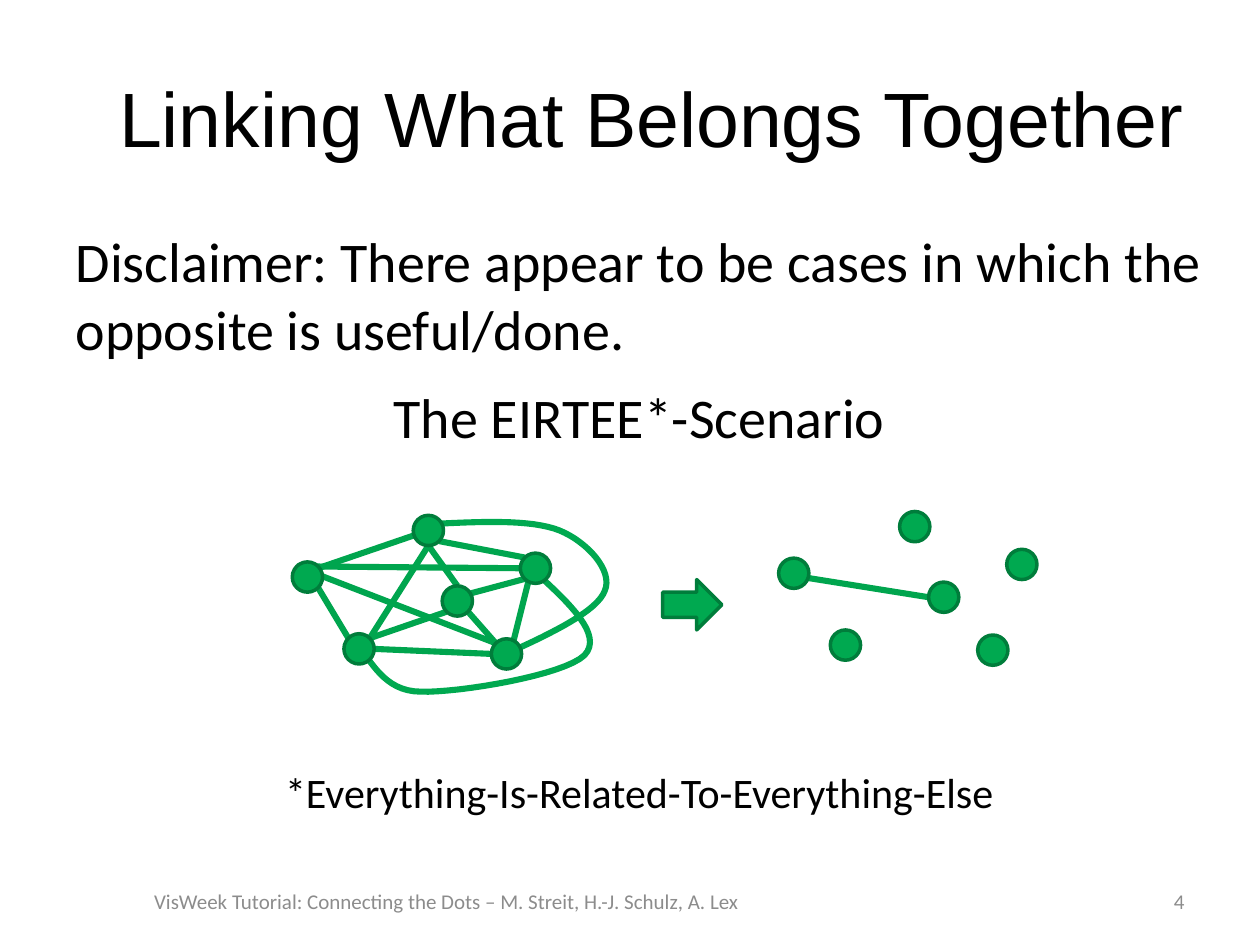
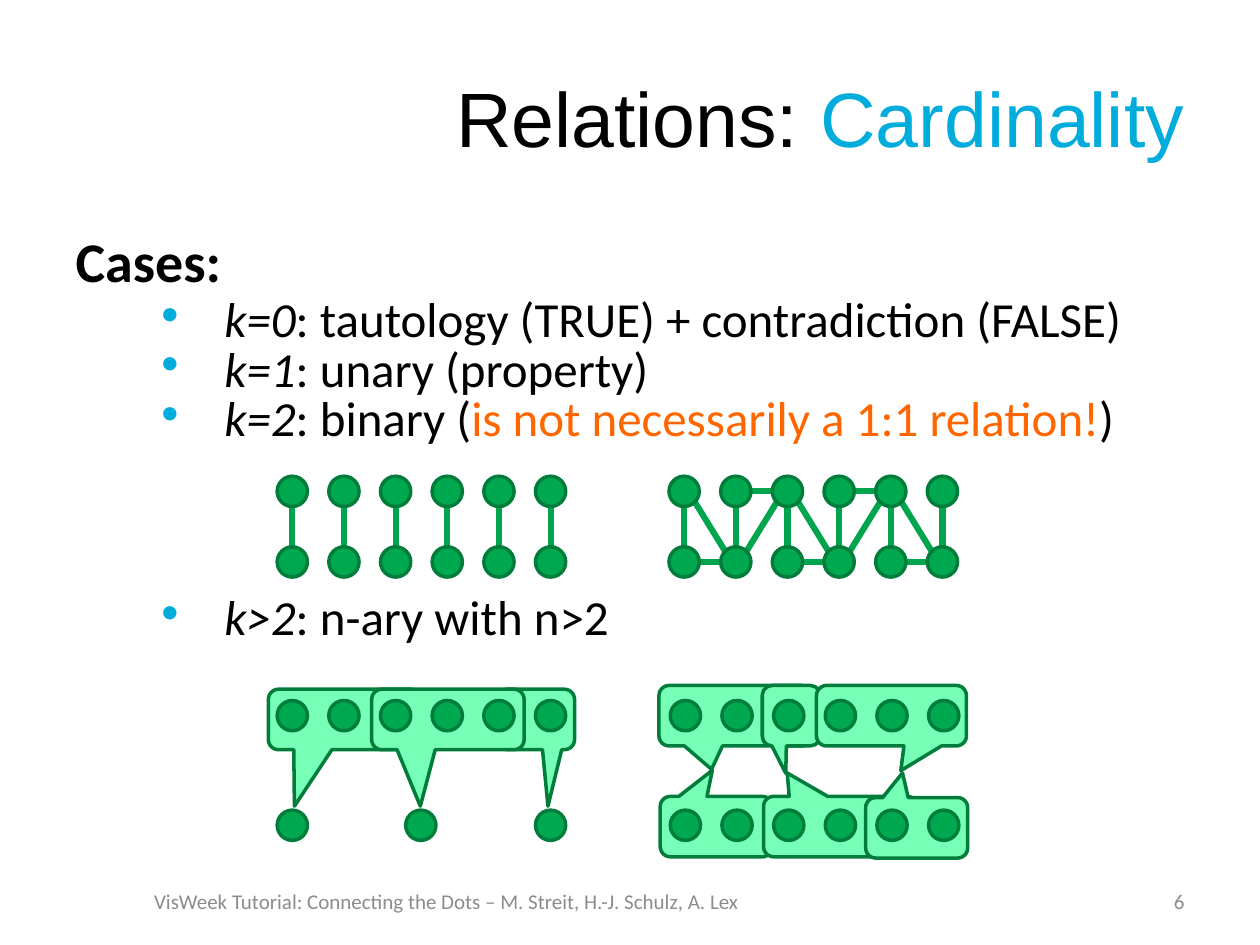
from math import cos, radians, sin

from lxml.etree import SubElement
from pptx import Presentation
from pptx.dml.color import RGBColor
from pptx.enum.shapes import MSO_CONNECTOR, MSO_SHAPE
from pptx.enum.text import MSO_ANCHOR, MSO_AUTO_SIZE, PP_ALIGN
from pptx.oxml.ns import qn
from pptx.util import Inches, Pt

BLACK, GRAY, CYAN, ORANGE = "000000", "8C8C8C", "00ACDC", "FF6600"
EDGE, NODE, RIM, BUBBLE = "00A54E", "00A950", "007D3B", "77FFB7"
CREDIT = "VisWeek Tutorial: Connecting the Dots – M. Streit, H.-J. Schulz, A. Lex"
DIAMETER = 0.24
PITCH = 0.41
COLUMNS = 6


def rgb(color):
    return RGBColor.from_string(color)


def add_run(paragraph, text, size=32, color=BLACK, font="Calibri", bold=False, italic=False):
    run = paragraph.add_run()
    run.text = text
    run.font.size = Pt(size)
    run.font.name = font
    run.font.bold = bold
    run.font.italic = italic
    run.font.color.rgb = rgb(color)


def place(shape, left, top, width, height):
    shape.left, shape.top = Inches(left), Inches(top)
    shape.width, shape.height = Inches(width), Inches(height)


def format_paragraph(paragraph, align=PP_ALIGN.LEFT, before=0, after=6, spacing=1, bullet=False):
    properties = paragraph._p.get_or_add_pPr()
    if bullet:
        paragraph.level = 3
        properties.set("marL", str(Inches(1.18)))
        properties.set("indent", str(Inches(-0.5)))
        SubElement(SubElement(properties, qn("a:buClr")), qn("a:srgbClr"), val=CYAN)
        SubElement(properties, qn("a:buFont"), typeface="Arial")
        SubElement(properties, qn("a:buChar"), char="•")
    else:
        properties.set("marL", "0")
        properties.set("indent", "0")
        SubElement(properties, qn("a:buNone"))
    paragraph.alignment = align
    paragraph.line_spacing = spacing
    paragraph.space_before, paragraph.space_after = Pt(before), Pt(after)


def add_footer_text(slide, text, left, width, align):
    box = slide.shapes.add_textbox(Inches(left), Inches(6.95), Inches(width), Inches(0.4))
    frame = box.text_frame
    frame.word_wrap = True
    frame.vertical_anchor = MSO_ANCHOR.MIDDLE
    frame.paragraphs[0].alignment = align
    add_run(frame.paragraphs[0], text, size=12, color=GRAY)


def add_content_slide(deck, number, title_parts):
    slide = deck.slides.add_slide(deck.slide_layouts[1])
    title = slide.shapes.title
    place(title, 0.5, 0.3, 9, 1.25)
    title.text_frame.vertical_anchor = MSO_ANCHOR.MIDDLE
    heading = title.text_frame.paragraphs[0]
    heading.alignment = PP_ALIGN.RIGHT
    for text, color in title_parts:
        add_run(heading, text, size=44, font="Arial", color=color)
    add_footer_text(slide, CREDIT, 0.51, 6.07, PP_ALIGN.CENTER)
    add_footer_text(slide, str(number), 7.17, 2.33, PP_ALIGN.RIGHT)
    return slide


def fill_body(slide, box, paragraphs):
    body = slide.placeholders[1]
    place(body, *box)
    frame = body.text_frame
    frame.auto_size = MSO_AUTO_SIZE.NONE
    frame.margin_top = Inches(0.05)
    for index, (layout, runs) in enumerate(paragraphs):
        paragraph = frame.add_paragraph() if index else frame.paragraphs[0]
        format_paragraph(paragraph, **layout)
        for text, style in runs:
            add_run(paragraph, text, **style)


def add_solid(shapes, preset, left, top, width, height, fill=NODE):
    solid = shapes.add_shape(preset, Inches(left), Inches(top), Inches(width), Inches(height))
    solid.shadow.inherit = False
    solid.fill.solid()
    solid.fill.fore_color.rgb = rgb(fill)
    solid.line.color.rgb = rgb(RIM)
    solid.line.width = Pt(2)
    return solid


def add_node(shapes, center):
    x, y = center
    radius = DIAMETER / 2
    add_solid(shapes, MSO_SHAPE.OVAL, x - radius, y - radius, DIAMETER, DIAMETER)


def rim_point(center, site):
    if site is None:
        return center
    angle = radians(90 + 45 * site)
    return center[0] + DIAMETER / 2 * cos(angle), center[1] - DIAMETER / 2 * sin(angle)


def add_edge(shapes, start, start_site, end, end_site):
    ends = [Inches(v) for v in rim_point(start, start_site) + rim_point(end, end_site)]
    edge = shapes.add_connector(MSO_CONNECTOR.STRAIGHT, *ends)
    edge.line.color.rgb = rgb(EDGE)
    edge.line.width = Pt(3.5)
    SubElement(edge._element.spPr, qn("a:effectLst"))


def bezier_points(controls, steps=16):
    for first in range(0, len(controls) - 1, 3):
        segment = controls[first:first + 4]
        for step in range(1, steps + 1):
            t = step / steps
            weights = (1 - t) ** 3, 3 * t * (1 - t) ** 2, 3 * t * t * (1 - t), t ** 3
            yield tuple(sum(w * p[axis] for w, p in zip(weights, segment)) for axis in (0, 1))


def add_curve(shapes, left, top, controls):
    controls = [(Inches(left + x), Inches(top + y)) for x, y in controls]
    builder = shapes.build_freeform(*controls[0])
    builder.add_line_segments(list(bezier_points(controls)), close=False)
    curve = builder.convert_to_shape()
    curve.shadow.inherit = False
    curve.fill.background()
    curve.line.color.rgb = rgb(NODE)
    curve.line.width = Pt(3.5)


NETWORK = {
    "top": (1.08, 0.12), "left": (0.12, 0.49), "middle": (1.31, 0.68),
    "base": (1.7, 1.1), "low": (0.53, 1.06), "right": (1.93, 0.42),
}
ALL_RELATED = [
    ("left", 2, "top", None), ("left", 5, "low", 1), ("left", 1, "base", 1),
    ("left", 1, "right", 2), ("low", 6, "base", 2), ("middle", 5, "base", 1),
    ("right", 0, "base", 4), ("right", 1, "top", 5), ("low", 7, "top", 4),
    ("middle", 0, "top", 4), ("right", 3, "middle", 2), ("middle", 3, "low", 7),
]
DETOURS = [
    [(1.94, 0.46), (2.2, 0.7), (2.47, 0.95), (2.32, 1.11), (2.16, 1.27),
     (1.32, 1.41), (1.02, 1.4), (0.72, 1.4), (0.62, 1.13), (0.54, 1.07)],
    [(1.72, 1.09), (2.07, 0.93), (2.42, 0.76), (2.48, 0.6), (2.55, 0.44),
     (2.34, 0.21), (2.12, 0.12), (1.89, 0.03), (1.49, 0.05), (1.1, 0.07)],
]


def draw_network(slide, left, top, relations, detours=()):
    shapes = slide.shapes.add_group_shape().shapes
    centers = {name: (left + x, top + y) for name, (x, y) in NETWORK.items()}
    for start, start_site, end, end_site in relations:
        add_edge(shapes, centers[start], start_site, centers[end], end_site)
    for controls in detours:
        add_curve(shapes, left, top, controls)
    for center in centers.values():
        add_node(shapes, center)


def node_row(left, y):
    return [(left + DIAMETER / 2 + PITCH * i, y) for i in range(COLUMNS)]


def draw_ladder(slide, left, top, cross_linked=False):
    shapes = slide.shapes.add_group_shape().shapes
    upper, lower = node_row(left, top + 0.12), node_row(left, top + 0.68)
    for above, below in zip(upper, lower):
        add_edge(shapes, below, 4, above, 4)
    if cross_linked:
        for i in range(COLUMNS - 1):
            row = upper if i % 2 else lower
            add_edge(shapes, row[i], 6, row[i + 1], 2)
            if i % 2:
                add_edge(shapes, lower[i], 7, upper[i + 1], 3)
            else:
                add_edge(shapes, lower[i + 1], 1, upper[i], 5)
    for center in upper + lower:
        add_node(shapes, center)


def draw_sets(slide, left, top, bubbles, upper, lower):
    shapes = slide.shapes.add_group_shape().shapes
    for x, y, width, tip_x, tip_y, rotation in bubbles:
        bubble = add_solid(shapes, MSO_SHAPE.ROUNDED_RECTANGULAR_CALLOUT,
                           left + x, top + y, width, 0.48, fill=BUBBLE)
        bubble.rotation = rotation
        for index, value in enumerate((tip_x, tip_y, 0.167)):
            bubble.adjustments[index] = value
    for center in upper + lower:
        add_node(shapes, center)


def build_linking_slide(deck):
    slide = add_content_slide(deck, 4, [("Linking What Belongs Together", BLACK)])
    centered = {"align": PP_ALIGN.CENTER}
    fill_body(slide, (0.5, 1.75, 9.15, 5.46), [
        ({}, [("Disclaimer: There appear to be cases in which the opposite is useful/done.", {})]),
        ({**centered, "before": 6.4}, [("The EIRTEE*-Scenario", {})]),
        ({**centered, "before": 174.5}, [("*Everything-Is-Related-To-Everything-Else", {"size": 24})]),
    ])
    draw_network(slide, 2.32, 4.09, ALL_RELATED, DETOURS)
    draw_network(slide, 6.18, 4.06, [("left", 2, "middle", 2)])
    add_solid(slide.shapes, MSO_SHAPE.RIGHT_ARROW, 5.26, 4.6, 0.47, 0.4)


def build_cardinality_slide(deck):
    slide = add_content_slide(deck, 6, [("Relations: ", BLACK), ("Cardinality", CYAN)])
    term, plain = {"size": 28, "italic": True}, {"size": 28}
    case = {"bullet": True, "spacing": 0.5, "before": 5.5}
    fill_body(slide, (0.5, 1.75, 9, 4.95), [
        ({}, [("Cases:", {"bold": True})]),
        (case, [("k=0", term), (": tautology (TRUE) + contradiction (FALSE)", plain)]),
        (case, [("k=1", term), (": unary (property)", plain)]),
        (case, [("k=2", term), (": binary (", plain),
                ("is not necessarily a 1:1 relation!", {**plain, "color": ORANGE}), (")", plain)]),
        ({**case, "before": 91}, [("k>2", term), (": n-ary with n>2", plain)]),
    ])
    draw_ladder(slide, 2.2, 3.78)
    draw_ladder(slide, 5.31, 3.78, cross_linked=True)

    many_to_one = [
        (1.82, 0, 0.61, 0.154, 1.434, 0),
        (0, 0, 1.21, -0.329, 1.434, 0),
        (0.82, 0, 1.21, -0.181, 1.434, 0),
    ]
    draw_sets(slide, 2.13, 5.47, many_to_one, node_row(2.2, 5.68),
              [(x, 6.55) for x in (2.32, 3.34, 4.37)])
    many_to_many = [
        (0, 0, 1.21, -0.155, 0.887, 0),
        (0.01, 0.88, 0.89, 0.036, 0.931, 180),
        (0.83, 0.88, 1.22, 0.346, 0.887, 180),
        (1.64, 0.89, 0.81, 0.139, 0.909, 180),
        (0.82, 0, 0.46, -0.094, 0.953, 0),
        (1.25, 0, 1.19, 0.063, 0.909, 0),
    ]
    draw_sets(slide, 5.23, 5.44, many_to_many, node_row(5.32, 5.68), node_row(5.32, 6.55))


def main():
    deck = Presentation()
    deck.slide_width, deck.slide_height = Inches(10), Inches(7.5)
    build_linking_slide(deck)
    build_cardinality_slide(deck)
    deck.save("out.pptx")


if __name__ == "__main__":
    main()
